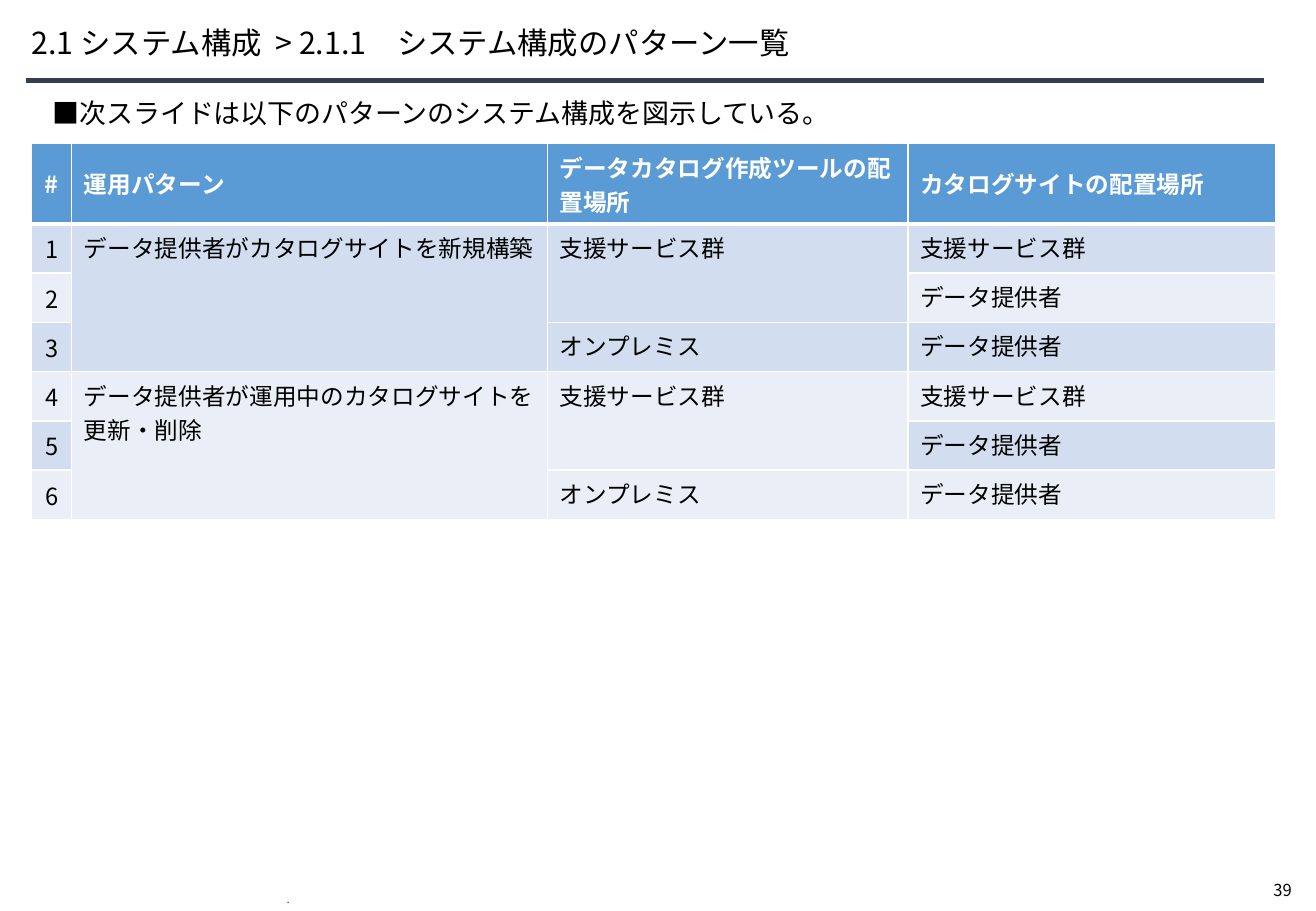
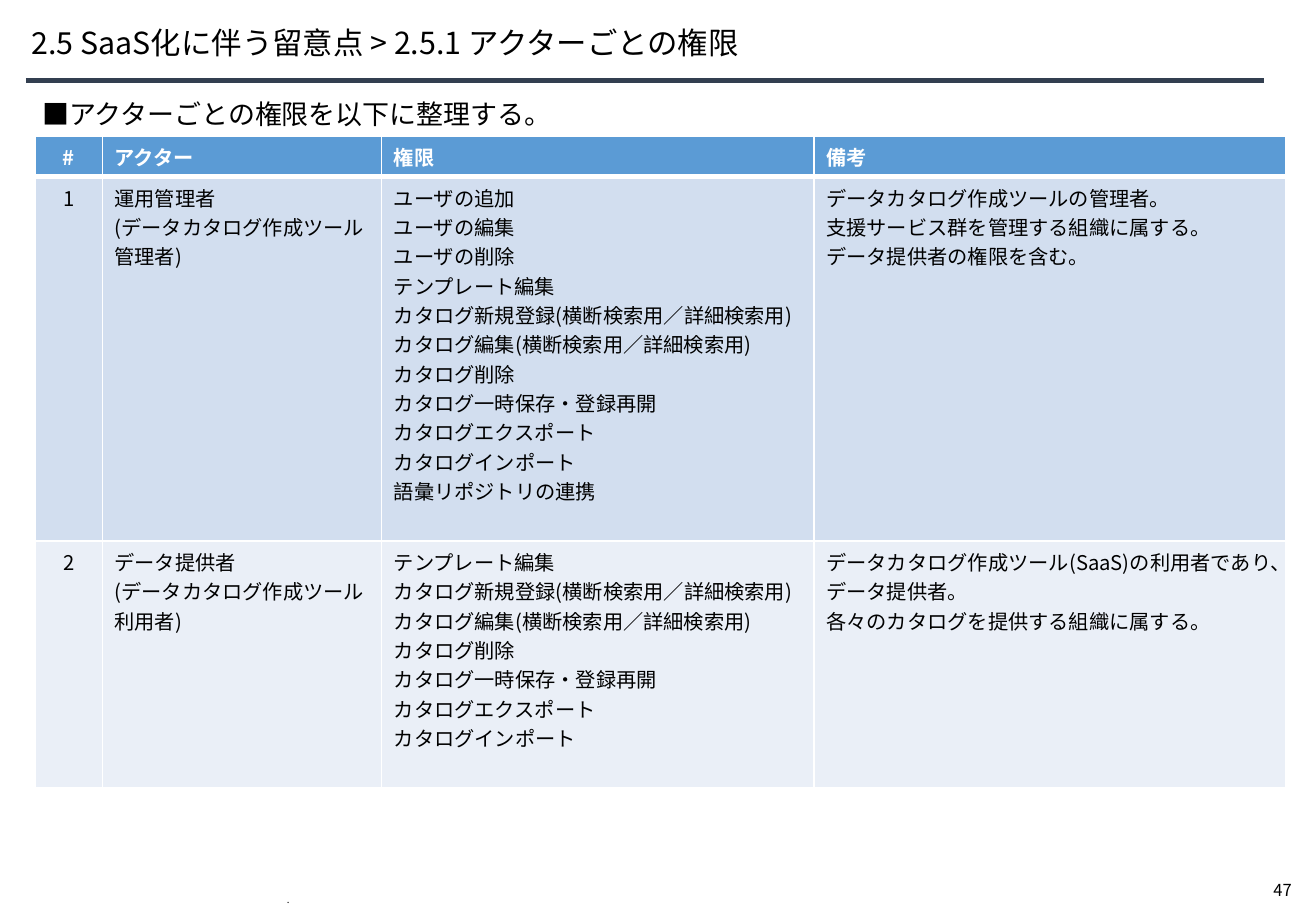
from dataclasses import dataclass
from typing import Optional

from pptx import Presentation
from pptx.dml.color import RGBColor
from pptx.enum.shapes import MSO_CONNECTOR as Connector, MSO_SHAPE as Preset
from pptx.enum.text import MSO_ANCHOR as Anchor, MSO_AUTO_SIZE as AutoSize, PP_ALIGN as Align
from pptx.oxml import parse_xml
from pptx.oxml.ns import nsdecls
from pptx.util import Cm, Pt

FONT = "Noto Sans CJK JP"
BLACK, WHITE, NAVY = "000000", "FFFFFF", "333F50"
HEADER_FILL, BANDS = "5B9BD5", ("D2DEEF", "EAEFF7")
Row = tuple[Optional[str], ...]


@dataclass(frozen=True)
class Grid:
    """A banded table in centimetres; None continues the cell above."""
    left: float
    top: float
    columns: tuple[float, ...]
    heights: tuple[float, ...]
    size: float
    number_anchor: Anchor
    rows: tuple[Row, ...]


@dataclass(frozen=True)
class Page:
    """The content of one slide."""
    title: str
    lead: str
    lead_at: tuple[float, float]
    number: int
    grid: Grid


CATALOG_RIGHTS = """テンプレート編集
カタログ新規登録(横断検索用／詳細検索用)
カタログ編集(横断検索用／詳細検索用)
カタログ削除
カタログ一時保存・登録再開
カタログエクスポート
カタログインポート"""

PAGES = (
    Page(
        "2.1 システム構成  > 2.1.1　システム構成のパターン一覧",
        "■次スライドは以下のパターンのシステム構成を図示している。",
        (0.85, 1.89), 39,
        Grid(0.66, 3, (0.84, 9.94, 7.54, 7.69), (1.68,) + (1.03,) * 6, 14, Anchor.MIDDLE, (
            ("#", "運用パターン", "データカタログ作成ツールの配置場所", "カタログサイトの配置場所"),
            ("1", "データ提供者がカタログサイトを新規構築", "支援サービス群", "支援サービス群"),
            ("2", None, None, "データ提供者"),
            ("3", None, "オンプレミス", "データ提供者"),
            ("4", "データ提供者が運用中のカタログサイトを更新・削除", "支援サービス群", "支援サービス群"),
            ("5", None, None, "データ提供者"),
            ("6", None, "オンプレミス", "データ提供者"),
        )),
    ),
    Page(
        "2.5 SaaS化に伴う留意点 > 2.5.1 アクターごとの権限",
        "■アクターごとの権限を以下に整理する。",
        (0.64, 1.91), 47,
        Grid(0.74, 2.84, (1.4, 5.84, 9.04, 9.86), (0.85, 7.62, 5.16), 12, Anchor.TOP, (
            ("#", "アクター", "権限", "備考"),
            ("1", "運用管理者\n(データカタログ作成ツール管理者)",
             f"ユーザの追加\nユーザの編集\nユーザの削除\n{CATALOG_RIGHTS}\n語彙リポジトリの連携",
             "データカタログ作成ツールの管理者。\n支援サービス群を管理する組織に属する。\n"
             "データ提供者の権限を含む。"),
            ("2", "データ提供者\n(データカタログ作成ツール利用者)", CATALOG_RIGHTS,
             "データカタログ作成ツール(SaaS)の利用者であり、\nデータ提供者。\n"
             "各々のカタログを提供する組織に属する。"),
        )),
    ),
)


def color(value: str) -> RGBColor:
    """Turn a hex string into a colour."""
    return RGBColor.from_string(value)


def write(frame, text: str, *, size: float, ink: str = BLACK, bold: bool = False,
          align: Align = Align.LEFT, spacing=None) -> None:
    """Fill a text frame with one formatted paragraph per line."""
    for index, line in enumerate(text.split("\n")):
        para = frame.add_paragraph() if index else frame.paragraphs[0]
        para.alignment = align
        if spacing is not None:
            para.line_spacing = spacing
        span = para.add_run()
        span.text = line
        span.font.name, span.font.size, span.font.bold = FONT, Pt(size), bold
        span.font.color.rgb = color(ink)
        latin = span.font._element.find("{*}latin")
        latin.addnext(parse_xml(f'<a:ea {nsdecls("a")} typeface="{FONT}"/>'))


def add_title(slide, text: str) -> None:
    """Place and format the title placeholder."""
    title = slide.shapes.title
    title.left, title.top, title.width, title.height = Cm(0.66), Cm(0.33), Cm(25.2), Cm(1.19)
    frame = title.text_frame
    frame.auto_size, frame.word_wrap = AutoSize.NONE, True
    frame.vertical_anchor, frame.margin_left = Anchor.MIDDLE, 0
    write(frame, text, size=18, spacing=0.9)


def add_rule(slide) -> None:
    """Draw the line under the title."""
    rule = slide.shapes.add_connector(Connector.STRAIGHT, Cm(0.54), Cm(1.68), Cm(26.43), Cm(1.68))
    rule.line.color.rgb, rule.line.width = color(NAVY), Pt(3)
    rule._element.spPr.append(parse_xml(f'<a:effectLst {nsdecls("a")}/>'))


def add_footer(slide, number: int) -> None:
    """Write the page number and the footer dot."""
    box = slide.shapes.add_textbox(Cm(26.37), Cm(18.27), Cm(1.09), Cm(0.69))
    box.text_frame.word_wrap = False
    write(box.text_frame, str(number), size=9.8)
    box = slide.shapes.add_textbox(Cm(5.75), Cm(18.69), Cm(16), Cm(0.36))
    box.text_frame.word_wrap, box.text_frame.vertical_anchor = True, Anchor.BOTTOM
    write(box.text_frame, ".", size=5.7, spacing=Pt(1.6))


def add_lead(slide, text: str, at: tuple[float, float]) -> None:
    """Write the sentence above the table."""
    box = slide.shapes.add_shape(Preset.RECTANGLE, Cm(at[0]), Cm(at[1]), Cm(25.81), Cm(1.19))
    box.shadow.inherit = False
    box.fill.solid()
    box.fill.fore_color.rgb = color(WHITE)
    box.line.fill.background()
    box.text_frame.word_wrap, box.text_frame.vertical_anchor = True, Anchor.TOP
    write(box.text_frame, text, size=16)


def style_cell(cell, fill: str, top: float, bottom: float) -> None:
    """Give a cell its fill and white borders."""
    cell.fill.solid()
    cell.fill.fore_color.rgb = color(fill)
    properties = cell._tc.get_or_add_tcPr()
    for index, (side, width) in enumerate((("L", 1), ("R", 1), ("T", top), ("B", bottom))):
        properties.insert(index, parse_xml(
            f'<a:ln{side} {nsdecls("a")} w="{Pt(width)}"><a:solidFill>'
            f'<a:srgbClr val="{WHITE}"/></a:solidFill></a:ln{side}>'))


def add_grid(slide, grid: Grid) -> None:
    """Build the table, merging cells downwards over None."""
    count = len(grid.rows)
    table = slide.shapes.add_table(
        count, len(grid.columns), Cm(grid.left), Cm(grid.top),
        Cm(sum(grid.columns)), Cm(sum(grid.heights))).table
    for column, width in zip(table.columns, grid.columns):
        column.width = Cm(width)
    for row, height in zip(table.rows, grid.heights):
        row.height = Cm(height)
    for y, texts in enumerate(grid.rows):
        header = y == 0
        fill = HEADER_FILL if header else BANDS[(y - 1) % 2]
        for x, text in enumerate(texts):
            cell = table.cell(y, x)
            style_cell(cell, fill, 3 if y == 1 else 1, 3 if header else 1)
            if text is None:
                continue
            last = y
            while last + 1 < count and grid.rows[last + 1][x] is None:
                last += 1
            if last > y:
                cell.merge(table.cell(last, x))
            body_anchor = grid.number_anchor if x == 0 else Anchor.TOP
            cell.vertical_anchor = Anchor.MIDDLE if header else body_anchor
            write(cell.text_frame, text, size=grid.size, bold=header,
                  ink=WHITE if header else BLACK, align=Align.LEFT if x else Align.CENTER)


def main() -> None:
    """Build and save the deck."""
    deck = Presentation()
    deck.slide_width, deck.slide_height = Cm(27.51), Cm(19.05)
    for page in PAGES:
        slide = deck.slides.add_slide(deck.slide_layouts[5])
        add_footer(slide, page.number)
        add_rule(slide)
        add_title(slide, page.title)
        add_lead(slide, page.lead, page.lead_at)
        add_grid(slide, page.grid)
    deck.save("out.pptx")


if __name__ == "__main__":
    main()
